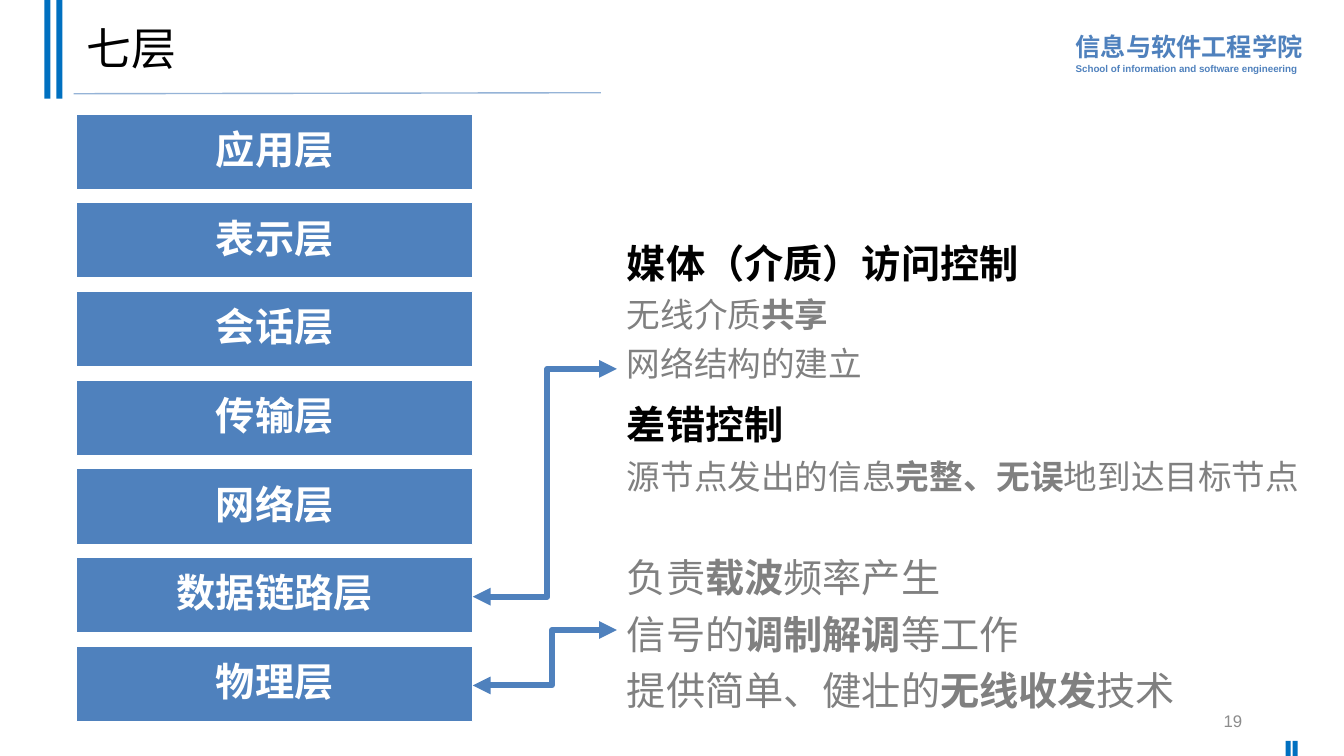
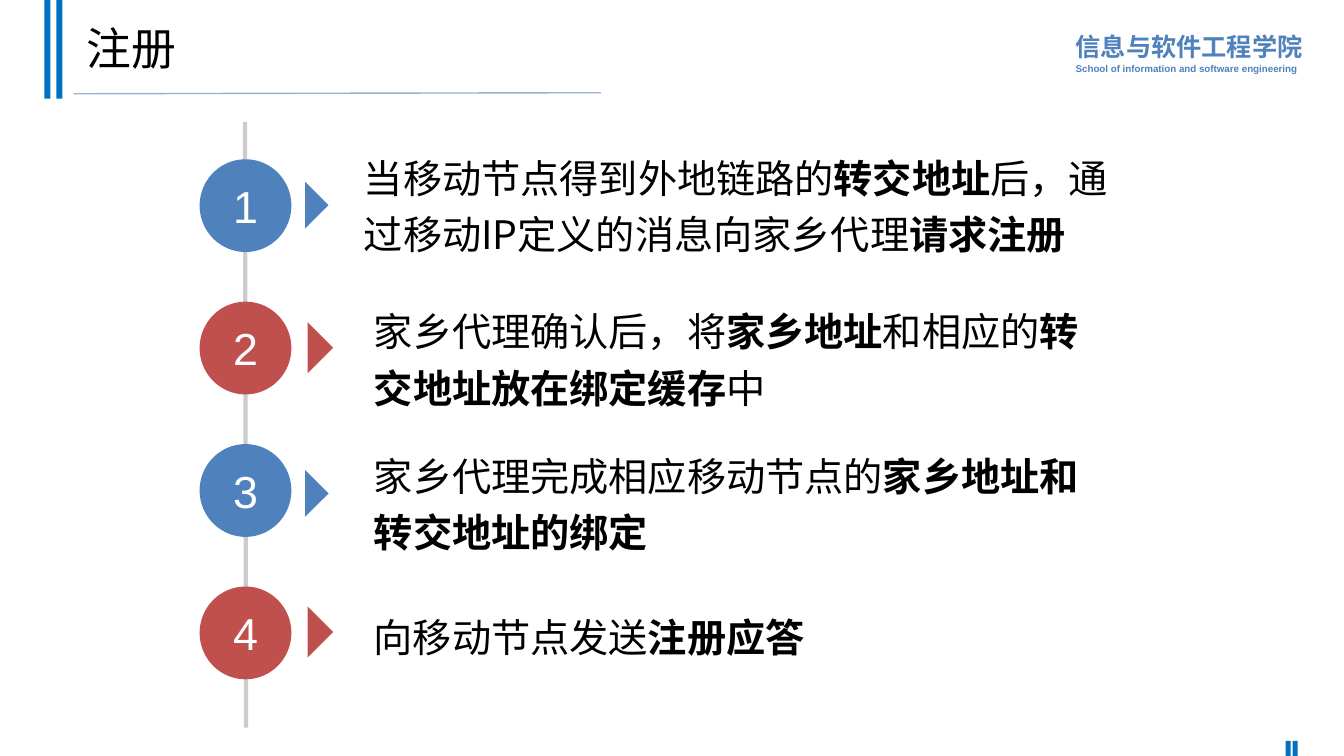
from lxml.etree import SubElement
from pptx import Presentation
from pptx.dml.color import RGBColor
from pptx.enum.shapes import MSO_CONNECTOR as LINE, MSO_SHAPE as SHAPE
from pptx.enum.text import MSO_ANCHOR as ANCHOR, PP_ALIGN as ALIGN
from pptx.oxml.ns import qn
from pptx.util import Inches, Pt

COLORS = {
    "bar": "0070C0", "blue": "4F81BD", "red": "C0504D", "rule": "95B3D7",
    "timeline": "CCCCCC", "text": "000000", "detail": "808080",
    "number": "8C8C8C", "white": "FFFFFF",
}
LATIN, CJK = "Arial", "Noto Sans CJK SC"


def add_filled(slide, kind, box, color):
    shape = slide.shapes.add_shape(kind, *map(Inches, box))
    shape.shadow.inherit = False
    shape.fill.solid()
    shape.fill.fore_color.rgb = RGBColor.from_string(COLORS[color])
    shape.line.fill.background()
    return shape


def write(frame, paragraphs, font=LATIN, anchor=ANCHOR.TOP, align=ALIGN.LEFT, spacing=1.0):
    """Fill a frame with (text, size, colour, space before); *asterisks* enclose bold text."""
    frame.word_wrap = True
    frame.vertical_anchor = anchor
    for index, (text, size, color, before) in enumerate(paragraphs):
        paragraph = frame.add_paragraph() if index else frame.paragraphs[0]
        paragraph.alignment = align
        paragraph.line_spacing = spacing
        paragraph.space_before = Pt(before)
        for part, words in enumerate(text.split("*")):
            if not words:
                continue
            run = paragraph.add_run()
            run.text = words
            run.font.name = font
            run.font.size = Pt(size)
            run.font.bold = part % 2 == 1
            run.font.color.rgb = RGBColor.from_string(COLORS[color])
            SubElement(run.font._element, qn("a:ea"), typeface=CJK)


deck = Presentation()
deck.slide_width, deck.slide_height = Inches(13.33), Inches(7.5)
lines = []  # (connector, colour, width in points), styled together at the end

# Frame shared by both slides
slides = []
for title in ("七层", "注册"):
    slide = deck.slides.add_slide(deck.slide_layouts[6])
    slides.append(slide)
    school = slide.shapes.add_textbox(*map(Inches, (10.57, 0.23, 2.75, 0.56)))
    write(school.text_frame, [
        ("*信息与软件工程学院*", 18, "blue", 0),
        ("*School of information and software engineering*", 7, "blue", 0),
    ], spacing=1.1)
    for bar in ((0.44, 0, 0.06, 0.98), (0.56, 0, 0.06, 0.98),
                (12.75, 7.35, 0.05, 0.15), (12.82, 7.35, 0.05, 0.15)):
        add_filled(slide, SHAPE.RECTANGLE, bar, "bar")
    rule = slide.shapes.add_connector(LINE.STRAIGHT, *map(Inches, (0.73, 0.93, 5.96, 0.92)))
    lines.append((rule, "rule", 1))
    heading = slide.shapes.add_textbox(*map(Inches, (0.76, 0.07, 9.5, 0.88)))
    write(heading.text_frame, [(title, 32, "text", 0)], anchor=ANCHOR.MIDDLE, spacing=0.9)

layers_slide, registration_slide = slides

# Slide 1: the seven layers
page_number = layers_slide.shapes.add_textbox(*map(Inches, (9.42, 6.95, 3, 0.4)))
write(page_number.text_frame, [("19", 12, "number", 0)], anchor=ANCHOR.MIDDLE, align=ALIGN.RIGHT)

LAYER_TOP, LAYER_PITCH = 1.13, 0.88
layer_names = ("应用层", "表示层", "会话层", "传输层", "网络层", "数据链路层", "物理层")
for row, name in enumerate(layer_names):
    layer = add_filled(layers_slide, SHAPE.RECTANGLE,
                       (0.76, LAYER_TOP + row * LAYER_PITCH, 3.93, 0.75), "blue")
    layer.line.color.rgb = RGBColor.from_string(COLORS["white"])
    layer.line.width = Pt(1)
    write(layer.text_frame, [(f"*{name}*", 28, "white", 0)], font=CJK,
          anchor=ANCHOR.MIDDLE, align=ALIGN.CENTER, spacing=0.9)

link_duties = [
    ("*媒体（介质）访问控制*", 28, "text", 6),
    ("无线介质*共享*", 24, "detail", 0),
    ("网络结构的建立", 24, "detail", 0),
    ("*差错控制*", 28, "text", 6),
    ("源节点发出的信息*完整、无误*地到达目标节点", 24, "detail", 0),
]
physical_duties = [
    ("负责*载波*频率产生", 28, "detail", 0),
    ("信号的*调制解调*等工作", 28, "detail", 0),
    ("提供简单、健壮的*无线收发*技术", 28, "detail", 0),
]
# box of the duties, height of the arrow at each end, bend in 1/100000 of its width
for duties, box, duties_y, layer_y, bend in (
    (link_duties, (6.12, 2.23, 7, 2.85), 3.66, 5.92, 48400),
    (physical_duties, (6.12, 5.35, 6.18, 1.8), 6.25, 6.8, 45100),
):
    duties_box = layers_slide.shapes.add_textbox(*map(Inches, box))
    write(duties_box.text_frame, duties, spacing=1.2)
    arrow = layers_slide.shapes.add_connector(
        LINE.ELBOW, *map(Inches, (6.12, duties_y, 4.69, layer_y)))
    adjustments = arrow._element.spPr.find(qn("a:prstGeom")).get_or_add_avLst()
    SubElement(adjustments, qn("a:gd"), name="adj1", fmla=f"val {bend}")
    lines.append((arrow, "blue", 4.25))

# Slide 2: the registration steps
timeline = registration_slide.shapes.add_connector(
    LINE.STRAIGHT, *map(Inches, (2.43, 1.21, 2.44, 7.22)))
lines.append((timeline, "timeline", 3))

STEP_TOP, STEP_PITCH = 1.58, 1.413
steps = (
    ("当移动节点得到外地链路的*转交地址*后，通过移动IP定义的消息向家乡代理*请求注册*",
     (3.61, 1.04, 7.41, 1.91), 1.87),
    ("家乡代理确认后，将*家乡地址*和相应的*转交地址放在绑定缓存*中",
     (3.61, 2.91, 7.41, 1.23), 3.27),
    ("家乡代理完成相应移动节点的*家乡地址和转交地址的绑定*",
     (3.61, 4.34, 7.41, 1.23), 4.73),
    ("向移动节点发送*注册应答*", (3.61, 5.94, 8.24, 0.67), 6.09),
)
for index, (step, box, pointer_top) in enumerate(steps):
    color, pointer_left, pointer_size = (("blue", 2.86, 0.33), ("red", 2.87, 0.36))[index % 2]
    pointer = add_filled(registration_slide, SHAPE.RIGHT_TRIANGLE,
                         (pointer_left, pointer_top, pointer_size, pointer_size), color)
    pointer.rotation = 225
    badge = add_filled(registration_slide, SHAPE.OVAL,
                       (1.98, STEP_TOP + index * STEP_PITCH, 0.91, 0.92), color)
    write(badge.text_frame, [(str(index + 1), 32, "white", 0)],
          anchor=ANCHOR.MIDDLE, align=ALIGN.CENTER)
    step_frame = registration_slide.shapes.add_textbox(*map(Inches, box)).text_frame
    if index == 0:
        step_frame.margin_left = step_frame.margin_right = 0
        step_frame.margin_top = step_frame.margin_bottom = 0
    write(step_frame, [(step, 28, "text", 6)], font=CJK, spacing=1.2,
          anchor=ANCHOR.TOP if index else ANCHOR.MIDDLE)

for connector, color, width in lines:
    connector.line.color.rgb = RGBColor.from_string(COLORS[color])
    connector.line.width = Pt(width)
    properties = connector._element.spPr
    if color == "blue":
        for end in ("a:headEnd", "a:tailEnd"):
            SubElement(properties.find(qn("a:ln")), qn(end), type="triangle")
    SubElement(properties, qn("a:effectLst"))

deck.save("out.pptx")
